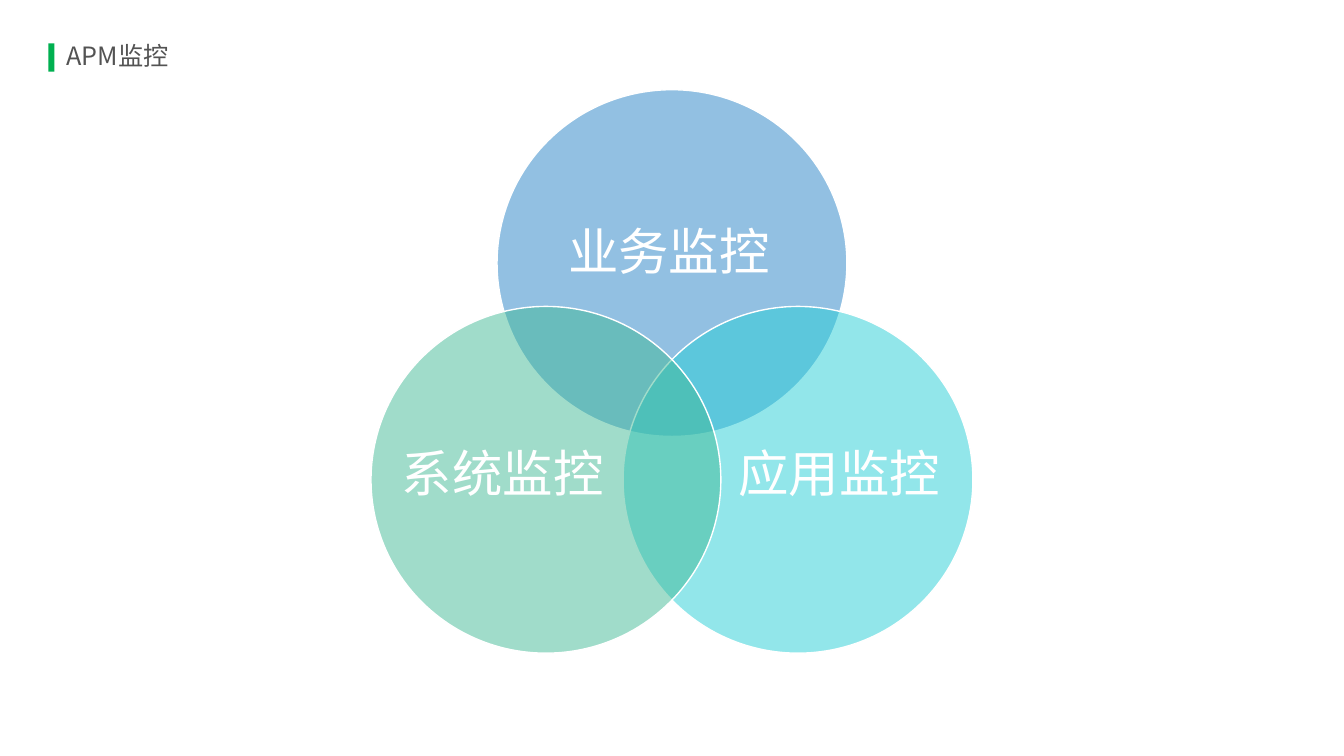
from dataclasses import dataclass

from lxml import etree
from pptx import Presentation
from pptx import util as u
from pptx.dml.color import RGBColor
from pptx.enum import shapes, text
from pptx.oxml import ns


@dataclass(frozen=True)
class Theme:
    font: str = "Noto Sans CJK SC"
    accent: str = "00B050"
    title: str = "535353"
    white: str = "FFFFFF"
    blue: str = "2683C6"
    cyan: str = "27CED7"
    green: str = "42BA97"
    title_size: int = 18
    label_size: int = 36
    alpha_percent: int = 50


@dataclass(frozen=True)
class Circle:
    label: str
    color: str
    left: float
    top: float
    label_left: float
    label_top: float


THEME = Theme()
CIRCLE_SIZE = (3.47, 3.44)
LABEL_SIZE = (2.45, 0.6)
CIRCLES = [
    Circle("业务监控", THEME.blue, 4.93, 0.89, 5.41, 2.18),
    Circle("应用监控", THEME.cyan, 6.18, 3.04, 7.1, 4.39),
    Circle("系统监控", THEME.green, 3.68, 3.04, 3.76, 4.39),
]


def add_filled(s, kind, left: float, top: float, width: float, height: float, color: str):
    sp = s.shapes.add_shape(kind, u.Inches(left), u.Inches(top), u.Inches(width), u.Inches(height))
    sp.shadow.inherit = False
    sp.fill.solid()
    sp.fill.fore_color.rgb = RGBColor.from_string(color)
    sp.line.fill.background()
    return sp


def add_text(s, content: str, left: float, top: float, width: float, height: float,
             size: int, color: str, inset: float, align, anchor) -> None:
    sp = s.shapes.add_textbox(u.Inches(left), u.Inches(top), u.Inches(width), u.Inches(height))
    tf = sp.text_frame
    tf.word_wrap = True
    tf.vertical_anchor = anchor
    tf.margin_left = tf.margin_right = tf.margin_top = tf.margin_bottom = u.Inches(inset)
    p = tf.paragraphs[0]
    p.alignment = align
    r = p.add_run()
    r.text = content
    r.font.size = u.Pt(size)
    r.font.color.rgb = RGBColor.from_string(color)
    r.font.name = THEME.font
    etree.SubElement(r.font._element, ns.qn("a:ea"), typeface=THEME.font)


def set_alpha(sp, percent: int) -> None:
    """Make the solid fill of a shape partly transparent."""
    clr = sp._element.spPr.find(ns.qn("a:solidFill"))[0]
    etree.SubElement(clr, ns.qn("a:alpha"), val=str(percent * 1000))


def add_circle(s, circle: Circle) -> None:
    sp = add_filled(s, shapes.MSO_SHAPE.OVAL, circle.left, circle.top, *CIRCLE_SIZE, circle.color)
    set_alpha(sp, THEME.alpha_percent)
    sp.line.color.rgb = RGBColor.from_string(THEME.white)
    sp.line.width = u.Pt(1)
    add_text(s, circle.label, circle.label_left, circle.label_top, *LABEL_SIZE,
             THEME.label_size, THEME.white, 0, text.PP_ALIGN.CENTER, text.MSO_ANCHOR.TOP)


def main() -> None:
    prs = Presentation()
    prs.slide_width, prs.slide_height = u.Inches(13.33), u.Inches(7.5)
    s = prs.slides.add_slide(prs.slide_layouts[6])
    add_filled(s, shapes.MSO_SHAPE.RECTANGLE, 0.48, 0.43, 0.06, 0.28, THEME.accent)
    add_text(s, "APM监控", 0.61, 0.22, 7.48, 0.66, THEME.title_size, THEME.title,
             0.05, text.PP_ALIGN.LEFT, text.MSO_ANCHOR.MIDDLE)
    for circle in CIRCLES:
        add_circle(s, circle)
    prs.save("out.pptx")


if __name__ == "__main__":
    main()
